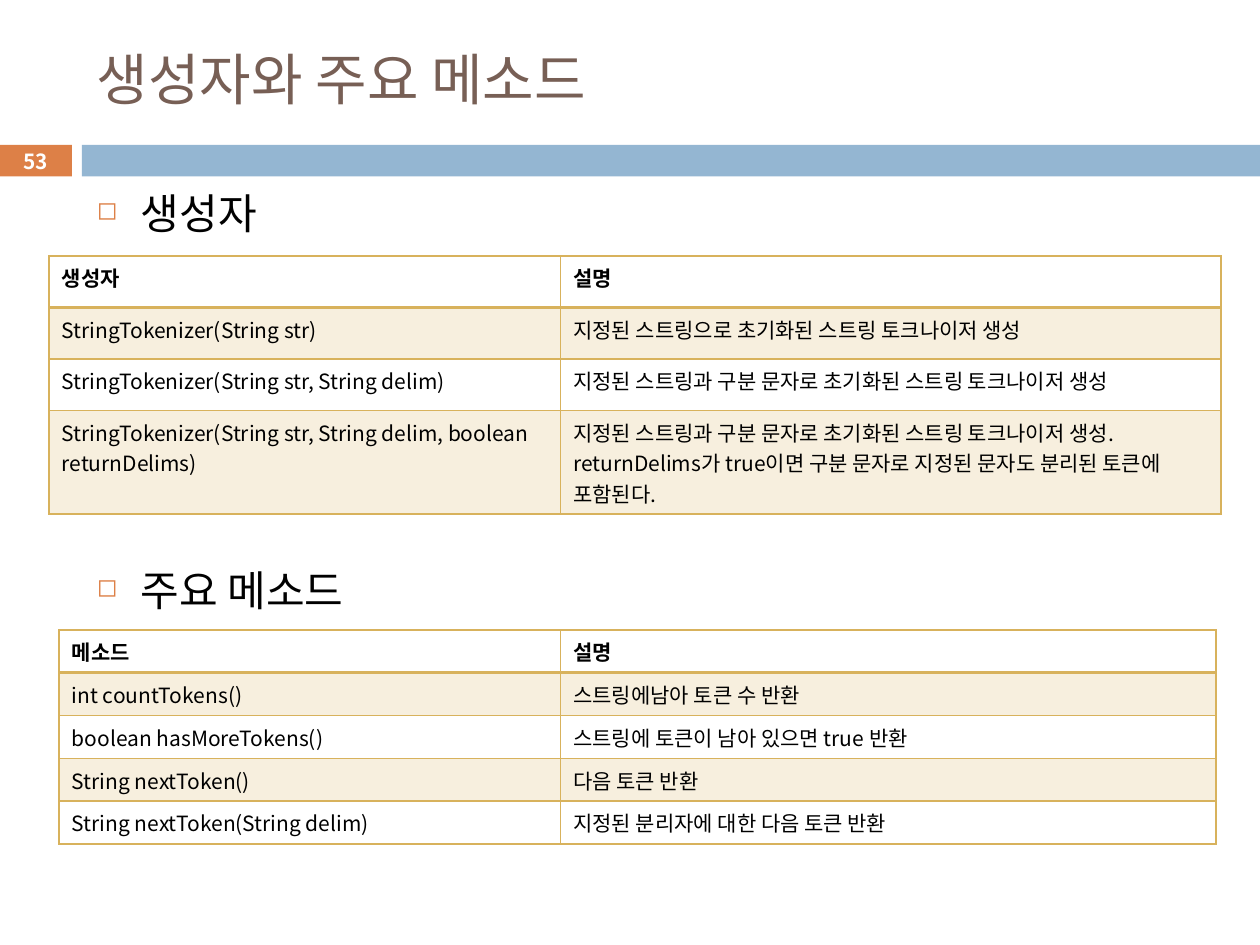
"""Build the slide on StringTokenizer constructors and main methods."""
from dataclasses import dataclass

from lxml.etree import SubElement
from pptx import Presentation
from pptx.dml.color import RGBColor
from pptx.enum.shapes import MSO_SHAPE
from pptx.enum.text import MSO_ANCHOR, PP_ALIGN
from pptx.oxml import parse_xml
from pptx.oxml.ns import nsdecls, qn
from pptx.util import Inches, Pt


@dataclass(frozen=True)
class Theme:
    font: str = "Noto Sans CJK KR"
    title: str = "775F55"
    accent: str = "DD8047"
    band: str = "94B6D2"
    gold: str = "D8B25C"
    black: str = "000000"
    white: str = "FFFFFF"
    title_size: float = 32
    heading_size: float = 24
    table_size: float = 12
    number_size: float = 11.9
    tint_percent: int = 20


@dataclass(frozen=True)
class Frame:
    left: float
    top: float
    width: float
    height: float

    def lengths(self) -> list:
        return [Inches(n) for n in (self.left, self.top, self.width, self.height)]


@dataclass(frozen=True)
class Section:
    heading: str
    heading_top: float
    left: float
    top: float
    columns: tuple
    row_heights: tuple
    rows: tuple


THEME = Theme()
SECTIONS = (
    Section("생성자", 1.44, 0.39, 2.03, (4.06, 5.24), (0.41, 0.41, 0.41, 0.82), (
        ("생성자", "설명"),
        ("StringTokenizer(String str)", "지정된 스트링으로 초기화된 스트링 토크나이저 생성"),
        ("StringTokenizer(String str, String delim)",
         "지정된 스트링과 구분 문자로 초기화된 스트링 토크나이저 생성"),
        ("StringTokenizer(String str, String delim, boolean returnDelims)",
         "지정된 스트링과 구분 문자로 초기화된 스트링 토크나이저 생성. "
         "returnDelims가 true이면 구분 문자로 지정된 문자도 분리된 토큰에 포함된다."),
    )),
    Section("주요 메소드", 4.43, 0.47, 5, (3.98, 5.2), (0.34,) * 5, (
        ("메소드", "설명"),
        ("int countTokens()", "스트링에남아 토큰 수 반환"),
        ("boolean hasMoreTokens()", "스트링에 토큰이 남아 있으면 true 반환"),
        ("String nextToken()", "다음 토큰 반환"),
        ("String nextToken(String delim)", "지정된 분리자에 대한 다음 토큰 반환"),
    )),
)


def write(text_frame, text: str, size: float, color: str, bold: bool = False):
    paragraph = text_frame.paragraphs[0]
    paragraph.text = text
    font = paragraph.font
    font.name, font.size, font.bold = THEME.font, Pt(size), bold
    font.color.rgb = RGBColor.from_string(color)
    SubElement(font._element, qn("a:ea"), typeface=THEME.font)
    return paragraph


def add_text(page, frame: Frame, text: str, size: float, color: str, bold: bool = False):
    box = page.shapes.add_textbox(*frame.lengths())
    text_frame = box.text_frame
    text_frame.word_wrap = True
    text_frame.vertical_anchor = MSO_ANCHOR.MIDDLE
    text_frame.margin_top = text_frame.margin_bottom = 0
    return write(text_frame, text, size, color, bold)


def add_bar(page, frame: Frame, color: str) -> None:
    bar = page.shapes.add_shape(MSO_SHAPE.RECTANGLE, *frame.lengths())
    bar.shadow.inherit = False
    bar.fill.solid()
    bar.fill.fore_color.rgb = RGBColor.from_string(color)
    bar.line.fill.background()


def add_heading(page, section: Section) -> None:
    frame = Frame(0.67, section.heading_top, 8.92, 0.5)
    paragraph = add_text(page, frame, section.heading, THEME.heading_size, THEME.black)
    properties = paragraph._p.get_or_add_pPr()
    properties.set("marL", str(Inches(0.35)))
    properties.set("indent", str(Inches(-0.35)))
    bullet = (
        f'<a:buClr {nsdecls("a")}><a:srgbClr val="{THEME.accent}"/></a:buClr>',
        f'<a:buSzPct {nsdecls("a")} val="60000"/>',
        f'<a:buChar {nsdecls("a")} char="◻"/>',
    )
    for position, part in enumerate(bullet):
        properties.insert(position, parse_xml(part))


def set_borders(cell, top: float, bottom: float) -> None:
    properties = cell._tc.get_or_add_tcPr()
    for side, width in (("L", 1), ("R", 1), ("T", top), ("B", bottom)):
        properties.append(parse_xml(
            f'<a:ln{side} {nsdecls("a")} w="{Pt(width)}"><a:solidFill>'
            f'<a:srgbClr val="{THEME.gold}"/></a:solidFill></a:ln{side}>'))


def set_fill(cell, tinted: bool) -> None:
    if not tinted:
        cell.fill.background()
        return
    cell.fill.solid()
    cell.fill.fore_color.rgb = RGBColor.from_string(THEME.gold)
    color = cell._tc.tcPr.find(qn("a:solidFill")).find(qn("a:srgbClr"))
    SubElement(color, qn("a:alpha"), val=str(THEME.tint_percent * 1000))


def add_grid(page, section: Section) -> None:
    frame = Frame(section.left, section.top, sum(section.columns), sum(section.row_heights))
    table = page.shapes.add_table(
        len(section.rows), len(section.columns), *frame.lengths()).table
    table.horz_banding = False
    for column, width in zip(table.columns, section.columns):
        column.width = Inches(width)
    for index, (row, height, texts) in enumerate(
            zip(table.rows, section.row_heights, section.rows)):
        row.height = Inches(height)
        for cell, text in zip(row.cells, texts):
            set_borders(cell, 2 if index == 1 else 1, 2 if index == 0 else 1)
            set_fill(cell, index % 2 == 1)
            write(cell.text_frame, text, THEME.table_size, THEME.black, index == 0)


def main() -> None:
    deck = Presentation()
    deck.slide_width, deck.slide_height = Inches(10), Inches(7.5)
    page = deck.slides.add_slide(deck.slide_layouts[6])
    number_frame = Frame(-0.01, 1.15, 0.58, 0.25)
    add_bar(page, number_frame, THEME.accent)
    add_bar(page, Frame(0.65, 1.15, 9.35, 0.25), THEME.band)
    add_text(page, Frame(0.67, 0.25, 8.92, 0.74), "생성자와 주요 메소드",
             THEME.title_size, THEME.title)
    for section in SECTIONS:
        add_heading(page, section)
        add_grid(page, section)
    number = add_text(page, number_frame, "53", THEME.number_size, THEME.white, True)
    number.alignment = PP_ALIGN.CENTER
    deck.save("out.pptx")


if __name__ == "__main__":
    main()
